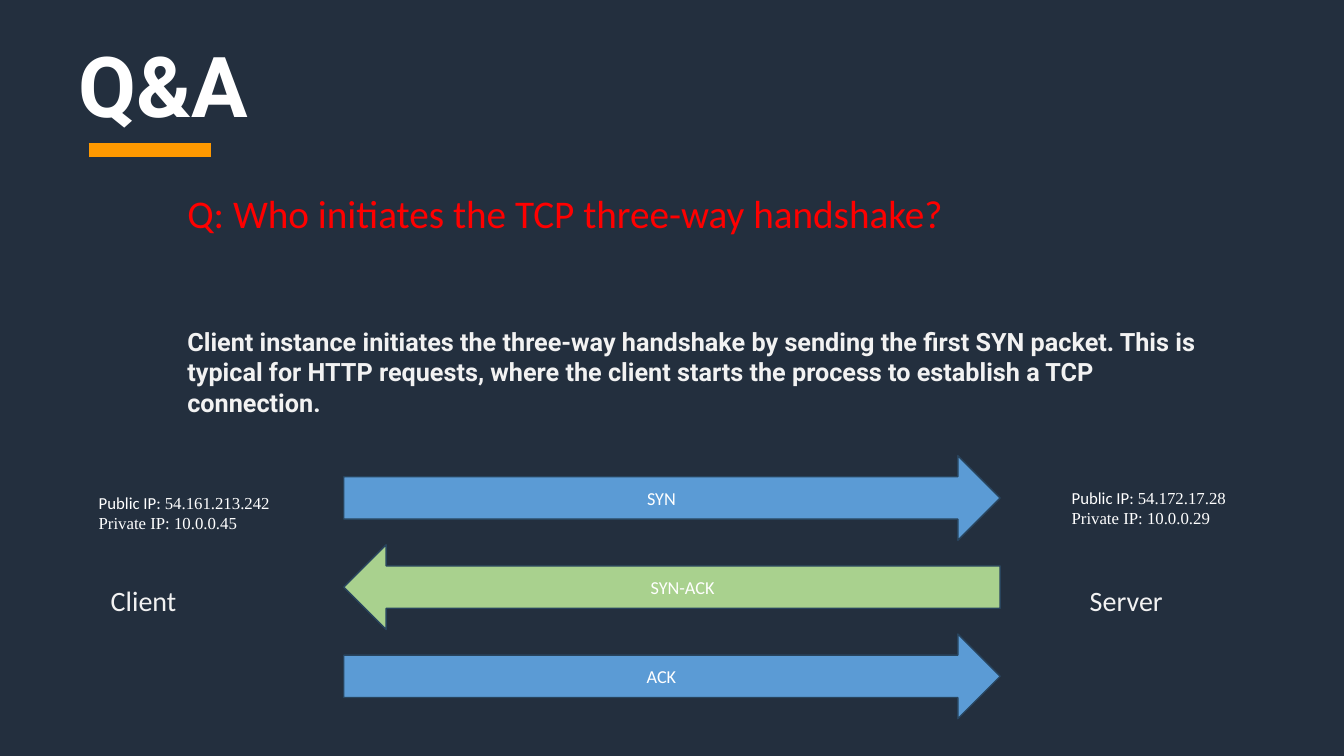
from pptx import Presentation
from pptx.dml.color import RGBColor
from pptx.enum.shapes import MSO_CONNECTOR, MSO_SHAPE
from pptx.enum.text import MSO_ANCHOR, MSO_AUTO_SIZE, PP_ALIGN
from pptx.oxml.ns import qn
from pptx.util import Inches, Pt
from lxml import etree

RIGHT, LEFT = MSO_SHAPE.RIGHT_ARROW, MSO_SHAPE.LEFT_ARROW
STRAIGHT = MSO_CONNECTOR.STRAIGHT
TOP, MIDDLE = MSO_ANCHOR.TOP, MSO_ANCHOR.MIDDLE
CENTER, START = PP_ALIGN.CENTER, PP_ALIGN.LEFT
NO_FIT = MSO_AUTO_SIZE.NONE

COLORS = {
    "back": "232F3E", "white": "FFFFFF", "pale": "F2F2F2", "red": "FF0000",
    "orange": "FF9900", "blue": "5B9BD5", "green": "A9D18E", "edge": "28445D",
}
SANS, HEAD, SERIF = "Calibri", "Roboto", "Times New Roman"

TITLE = "Q&A"
QUERY = "Q: Who initiates the TCP three-way handshake?"
ANSWER = (
    "Client instance initiates the three-way handshake by sending the first "
    "SYN packet. This is typical for HTTP requests, where the client starts "
    "the process to establish a TCP connection."
)
HOSTS = [
    ("Client", (1, 5.74, 0.86, 0.44), "54.161.213.242", "10.0.0.45", (0.88, 4.84, 1.92, 0.5)),
    ("Server", (10.71, 5.74, 0.93, 0.44), "54.172.17.28", "10.0.0.29", (10.53, 4.79, 1.75, 0.5)),
]
STEPS = [("SYN", RIGHT, "blue"), ("SYN-ACK", LEFT, "green"), ("ACK", RIGHT, "blue")]
STEP_X, STEP_Y, STEP_W, STEP_H, PITCH = 3.41, 4.52, 6.51, 0.84, 0.885


def color(name):
    return RGBColor.from_string(COLORS[name])


def style(run, size, face, tint, bold=False):
    font = run.font
    font.size, font.name, font.bold = Pt(size), face, bold
    font.color.rgb = color(tint)


def add_box(slide, area, wrap=True):
    box = slide.shapes.add_textbox(*map(Inches, area))
    box.text_frame.word_wrap = wrap
    return box.text_frame


def add_text(slide, area, text, size, face, tint, bold=False, wrap=True):
    frame = add_box(slide, area, wrap)
    frame.text = text
    style(frame.paragraphs[0].runs[0], size, face, tint, bold)


def add_title(slide):
    title = slide.shapes.title
    title.left, title.top, title.width, title.height = map(Inches, (0.68, 0.28, 2.17, 1.11))
    frame = title.text_frame
    frame.text = TITLE
    frame.auto_size, frame.vertical_anchor = NO_FIT, TOP
    frame.paragraphs[0].alignment = START
    style(frame.paragraphs[0].runs[0], 60, HEAD, "white", True)


def add_bar(slide):
    bar = slide.shapes.add_connector(STRAIGHT, *map(Inches, (0.88, 1.49, 2.09, 1.49)))
    bar.line.color.rgb = color("orange")
    bar.line.width = Pt(10)
    etree.SubElement(bar.element.spPr, qn("a:effectLst"))


def add_host(slide, name, spot, public, private, area):
    add_text(slide, spot, name, 20, SANS, "pale", wrap=False)
    frame = add_box(slide, area, False)
    first, second = frame.paragraphs[0], frame.add_paragraph()
    for para, text, face in [
        (first, "Public IP: ", SANS),
        (first, public, SERIF),
        (second, f"Private IP: {private}", SERIF),
    ]:
        run = para.add_run()
        run.text = text
        style(run, 12, face, "white")


def add_step(slide, row, name, kind, tint):
    area = (STEP_X, STEP_Y + row * PITCH, STEP_W, STEP_H)
    arrow = slide.shapes.add_shape(kind, *map(Inches, area))
    arrow.shadow.inherit = False
    arrow.fill.solid()
    arrow.fill.fore_color.rgb = color(tint)
    arrow.line.color.rgb = color("edge")
    arrow.line.width = Pt(1)
    frame = arrow.text_frame
    frame.text = name
    frame.vertical_anchor = MIDDLE
    frame.paragraphs[0].alignment = CENTER
    style(frame.paragraphs[0].runs[0], 13, SANS, "white")


def main():
    deck = Presentation()
    deck.slide_width, deck.slide_height = Inches(13.33), Inches(7.5)
    slide = deck.slides.add_slide(deck.slide_layouts[5])
    slide.background.fill.solid()
    slide.background.fill.fore_color.rgb = color("back")
    add_title(slide)
    add_bar(slide)
    add_text(slide, (1.76, 3.19, 10.49, 1.01), ANSWER, 18, HEAD, "pale", True)
    add_text(slide, (1.76, 1.83, 10.49, 0.57), QUERY, 28, SANS, "red")
    for host in HOSTS:
        add_host(slide, *host)
    for row, step in enumerate(STEPS):
        add_step(slide, row, *step)
    deck.save("out.pptx")


if __name__ == "__main__":
    main()
